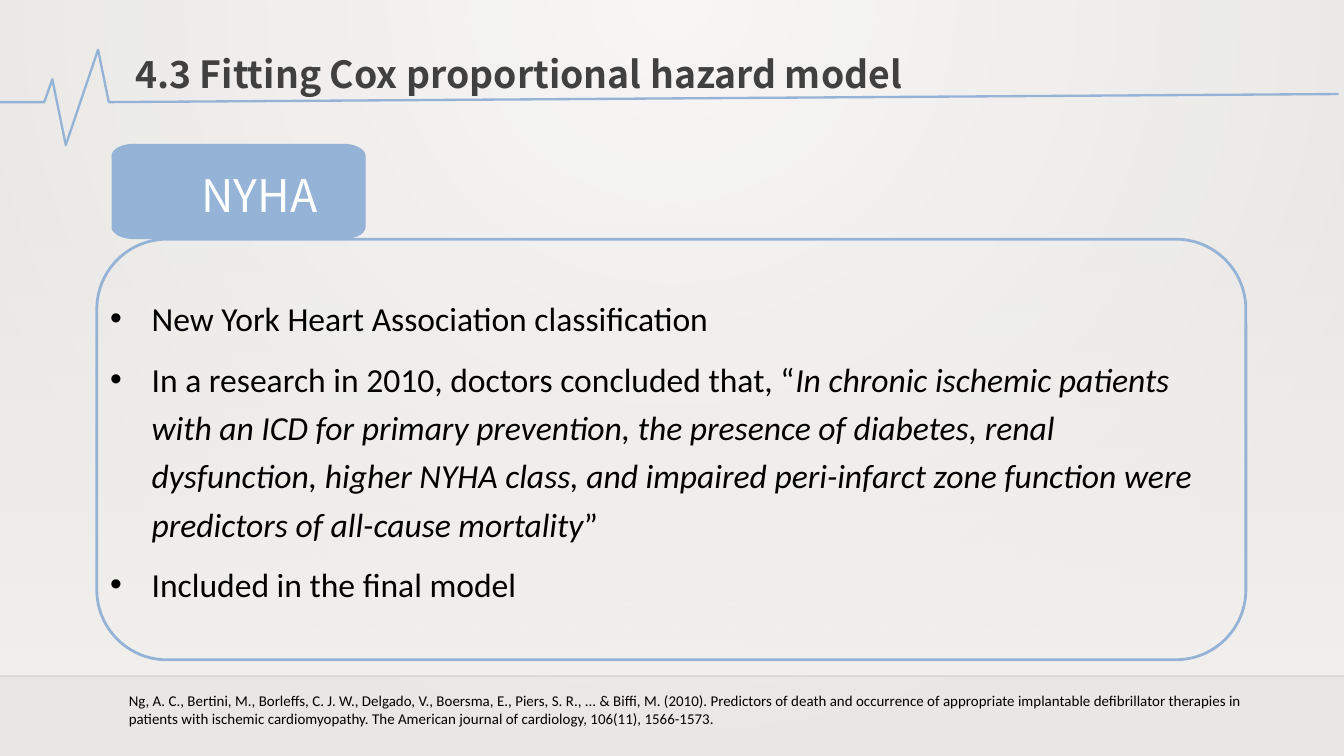
import math
from lxml import etree as xml
from pptx import Presentation
from pptx.dml.color import RGBColor as RGB
from pptx.enum import shapes as kind, text as txt
from pptx.oxml.ns import qn
from pptx.util import Inches, Pt

HUE = {
    "blue": "95B3D7", "white": "FFFFFF", "black": "000000", "line": "000001",
    "grey": "404040", "sand": "DFDBD5", "pale": "ECEAE7", "dusk": "CAC7C1",
}
hue = {name: RGB.from_string(code) for name, code in HUE.items()}
SANS, HEAD = "Calibri", "Noto Sans CJK SC"

deck = Presentation()
deck.slide_width, deck.slide_height = Inches(10), Inches(10 * 9 / 16)
col, row = deck.slide_width / 100, deck.slide_height / 100
slide = deck.slides.add_slide(deck.slide_layouts[5])
items = slide.shapes


def grid(*cells):
    return [round(cell * (row if i % 2 else col)) for i, cell in enumerate(cells)]


def fade(node, share):
    xml.SubElement(node, qn("a:alpha"), val=str(share * 1000))


back = slide.background.fill
back.gradient()
for stop, name, place in zip(back.gradient_stops, ("pale", "dusk"), (0, 1)):
    stop.color.rgb, stop.position = hue[name], place
glow = slide.element.find(".//" + qn("a:gradFill"))
glow.remove(glow.find(qn("a:lin")))
ring = xml.SubElement(glow, qn("a:path"), path="circle")
xml.SubElement(ring, qn("a:fillToRect"), l="43000", r="43000", b="100000")

RECT = kind.MSO_SHAPE.RECTANGLE
floor = items.add_shape(RECT, *grid(0, 29.51, 100, 59.91))
floor.fill.gradient()
floor.fill.gradient_angle = 270
for stop, place in zip(floor.fill.gradient_stops, (0, 1)):
    stop.color.rgb, stop.position = hue["sand"], place
fade(next(floor.element.iter(qn("a:srgbClr"))), 0)

rule = items.add_connector(kind.MSO_CONNECTOR.STRAIGHT, *grid(0, 89.42, 100, 89.42))
rule.line.color.rgb, rule.line.width = hue["line"], Pt(1)
fade(next(rule.element.iter(qn("a:srgbClr"))), 20)
xml.SubElement(rule.element.spPr, qn("a:effectLst"))

veil = items.add_shape(RECT, *grid(0, 0, 100, 100))
veil.fill.solid()
veil.fill.fore_color.rgb = hue["white"]
fade(next(veil.element.iter(qn("a:srgbClr"))), 59)

beat = [(0, 13.51), (3.3, 13.51), (3.9, 10.49), (4.9, 19.2), (7.3, 6.58), (8.1, 13.51), (99.6, 12.44)]
pen = items.build_freeform(*grid(*beat[0]))
pen.add_line_segments([grid(*dot) for dot in beat[1:]], close=False)
pulse = pen.convert_to_shape()

frame = items.add_shape(kind.MSO_SHAPE.ROUNDED_RECTANGLE, *grid(7.2, 31.64, 85.5, 55.64))
for shape, width in ((pulse, 1.25), (frame, 1.5)):
    shape.fill.background()
    shape.line.color.rgb, shape.line.width = hue["blue"], Pt(width)

left, top, wide, high = 8.3, 19.02, 18.9, 12.62
bend, drop = 1.7, 1.6
edge = []
for turn in range(4):
    mid_x = left + (bend if turn in (1, 2) else wide - bend)
    mid_y = top + (drop if turn in (2, 3) else high - drop)
    for step in range(13):
        arc = math.radians(90 * turn + 7.5 * step)
        edge.append(grid(mid_x + bend * math.cos(arc), mid_y + drop * math.sin(arc)))
pen = items.build_freeform(*edge[0])
pen.add_line_segments(edge[1:])
tab = pen.convert_to_shape()
tab.fill.solid()
tab.fill.fore_color.rgb = hue["blue"]

for shape in (floor, veil, tab):
    shape.line.fill.background()
for shape in (floor, veil, pulse, frame, tab):
    shape.shadow.inherit = False

label = items.add_textbox(*grid(14, 21.33, 11.8, 8.89))
body = items.add_textbox(*grid(7.2, 37.51, 84.2, 43.02))
cite = items.add_textbox(*grid(8.6, 90.67, 85.5, 6.58))
title = items.title
title.left, title.top, title.width, title.height = grid(7.9, 5.87, 61.4, 7.82)
title.element.getparent().append(title.element)

label.text_frame.text = "NYHA"
cite.text_frame.text = (
    "Ng, A. C., Bertini, M., Borleffs, C. J. W., Delgado, V., Boersma, E., Piers, S. R., ... & Biffi, M. (2010). "
    "Predictors of death and occurrence of appropriate implantable defibrillator therapies in patients with "
    "ischemic cardiomyopathy. The American journal of cardiology, 106(11), 1566-1573."
)
title.text_frame.text = "4.3 Fitting Cox proportional hazard model"

points = [
    ["New York Heart Association classification"],
    [
        "In a research in 2010, doctors concluded that, “",
        "In chronic ischemic patients with an ICD for primary prevention, the presence of diabetes, renal "
        "dysfunction, higher NYHA class, and impaired peri-infarct zone function were predictors of "
        "all-cause mortality",
        "”",
    ],
    ["Included in the final model"],
]
for i, parts in enumerate(points):
    para = body.text_frame.add_paragraph() if i else body.text_frame.paragraphs[0]
    para.line_spacing, para.space_before = 1.2, Pt(6.4 if i else 0)
    props = para._p.get_or_add_pPr()
    props.set("marL", str(Inches(0.31)))
    props.set("indent", str(-Inches(0.31)))
    xml.SubElement(props, qn("a:buFont"), typeface="Arial")
    xml.SubElement(props, qn("a:buChar"), char="•")
    for j, part in enumerate(parts):
        run = para.add_run()
        run.text = part
        if j == 1:
            run.font.italic = True

styles = [
    (label, 24, HEAD, "white", False),
    (body, 18, SANS, "black", True),
    (cite, 8, SANS, "black", True),
    (title, 20, HEAD, "grey", False),
]
for box, size, face, name, wrap in styles:
    box.text_frame.word_wrap = wrap
    box.text_frame.vertical_anchor = txt.MSO_ANCHOR.TOP
    box.text_frame.auto_size = txt.MSO_AUTO_SIZE.SHAPE_TO_FIT_TEXT
    for para in box.text_frame.paragraphs:
        para.font.size, para.font.name = Pt(size), face
        para.font.color.rgb = hue[name]
head = title.text_frame.paragraphs[0]
head.font.bold, head.alignment = True, txt.PP_ALIGN.CENTER

deck.save("out.pptx")
